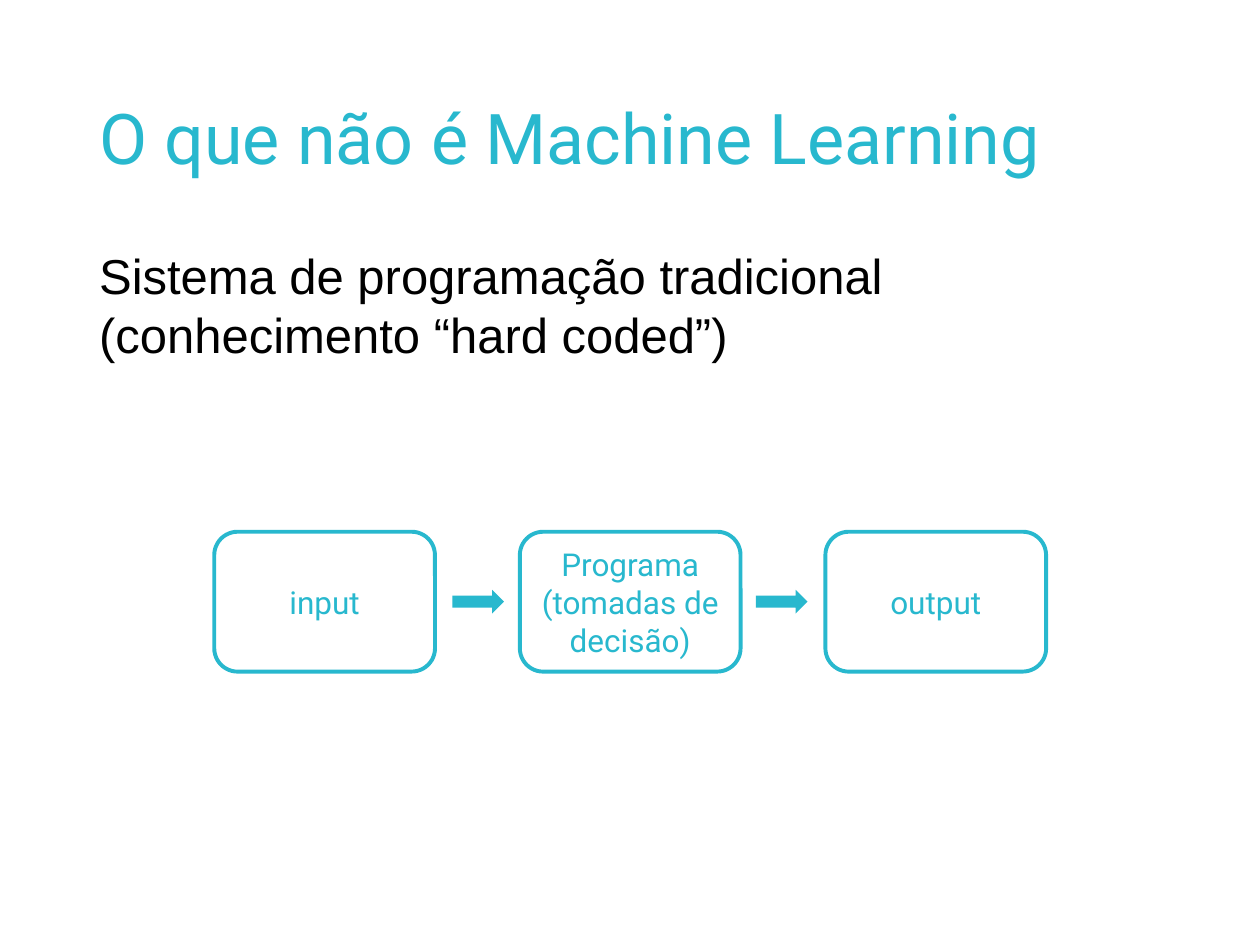
"""Build a slide showing the flow of a traditional, hard-coded program."""
from dataclasses import dataclass

import pptx
import pptx.dml.color
import pptx.enum.shapes
import pptx.enum.text
import pptx.slide
import pptx.util
from pptx.util import Cm

SHAPES = pptx.enum.shapes.MSO_SHAPE
ALIGN = pptx.enum.text.PP_ALIGN
ANCHOR = pptx.enum.text.MSO_ANCHOR


@dataclass(frozen=True)
class Theme:
    accent: str = "28B8CE"
    ink: str = "000000"
    paper: str = "FFFFFF"
    title_size: int = 40
    body_size: int = 28
    step_size: int = 18
    outline: float = 2.25
    title_font: str = "Roboto"
    body_font: str = "Arial"


@dataclass(frozen=True)
class Area:
    left: float
    top: float
    width: float
    height: float

    def lengths(self) -> tuple:
        return Cm(self.left), Cm(self.top), Cm(self.width), Cm(self.height)


@dataclass(frozen=True)
class TextStyle:
    font: str
    size: int
    color: str
    align: ALIGN = ALIGN.LEFT
    anchor: ANCHOR = ANCHOR.MIDDLE
    line_spacing: float = 1.0


THEME = Theme()
TITLE = TextStyle(THEME.title_font, THEME.title_size, THEME.accent, line_spacing=0.9)
BODY = TextStyle(THEME.body_font, THEME.body_size, THEME.ink, anchor=ANCHOR.TOP)
STEP = TextStyle(THEME.title_font, THEME.step_size, THEME.accent, ALIGN.CENTER)

STEPS = ("input", "Programa (tomadas de decisão)", "output")
FIRST_STEP = Area(4.32, 10.72, 4.45, 2.82)
STEP_PITCH = 6.16
FIRST_ARROW = Area(9.12, 11.89, 1.04, 0.48)
ARROW_PITCH = 6.12


def rgb(color: str) -> pptx.dml.color.RGBColor:
    return pptx.dml.color.RGBColor.from_string(color)


def shifted(area: Area, distance: float) -> Area:
    return Area(area.left + distance, area.top, area.width, area.height)


def write(box, text: str, style: TextStyle) -> None:
    frame = box.text_frame
    frame.word_wrap = True
    frame.vertical_anchor = style.anchor
    para = frame.paragraphs[0]
    para.alignment = style.align
    para.line_spacing = style.line_spacing
    span = para.add_run()
    span.text = text
    span.font.name = style.font
    span.font.size = pptx.util.Pt(style.size)
    span.font.color.rgb = rgb(style.color)


def add_text(page: pptx.slide.Slide, area: Area, text: str, style: TextStyle) -> None:
    write(page.shapes.add_textbox(*area.lengths()), text, style)


def add_filled(page: pptx.slide.Slide, kind: SHAPES, area: Area, color: str):
    shape = page.shapes.add_shape(kind, *area.lengths())
    shape.shadow.inherit = False
    shape.fill.solid()
    shape.fill.fore_color.rgb = rgb(color)
    shape.line.fill.background()
    return shape


def add_step(page: pptx.slide.Slide, area: Area, text: str) -> None:
    box = add_filled(page, SHAPES.ROUNDED_RECTANGLE, area, THEME.paper)
    box.line.color.rgb = rgb(THEME.accent)
    box.line.width = pptx.util.Pt(THEME.outline)
    write(box, text, STEP)


def main() -> None:
    deck = pptx.Presentation()
    deck.slide_width, deck.slide_height = Cm(25.4), Cm(19.05)
    page = deck.slides.add_slide(deck.slide_layouts[6])
    add_text(page, Area(1.75, 1.02, 21.9, 3.68), "O que não é Machine Learning", TITLE)
    add_text(
        page,
        Area(1.75, 4.83, 21.9, 2.82),
        "Sistema de programação tradicional (conhecimento “hard coded”)",
        BODY,
    )
    for index, text in enumerate(STEPS):
        add_step(page, shifted(FIRST_STEP, index * STEP_PITCH), text)
    for index in range(len(STEPS) - 1):
        area = shifted(FIRST_ARROW, index * ARROW_PITCH)
        add_filled(page, SHAPES.RIGHT_ARROW, area, THEME.accent)
    deck.save("out.pptx")


if __name__ == "__main__":
    main()
